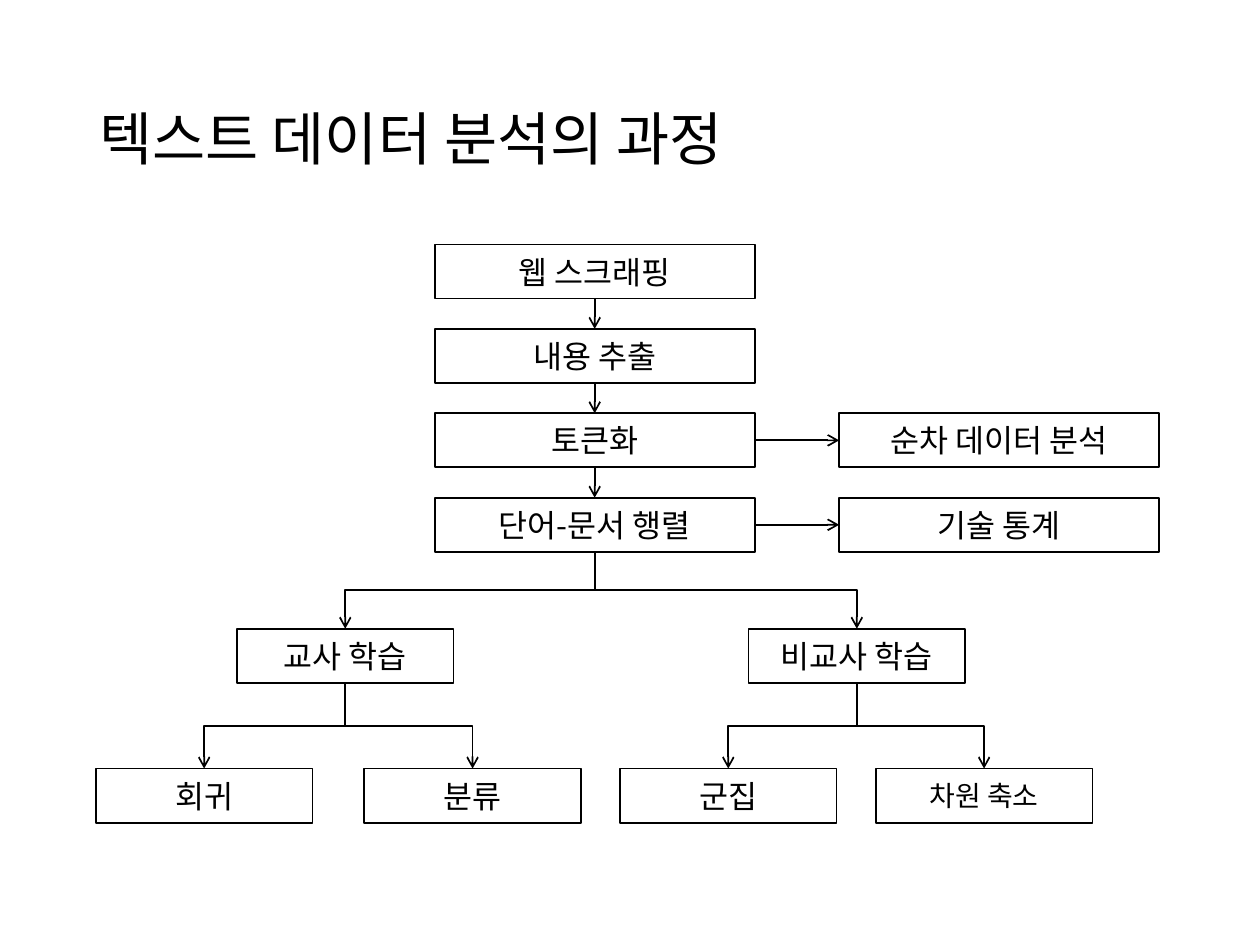
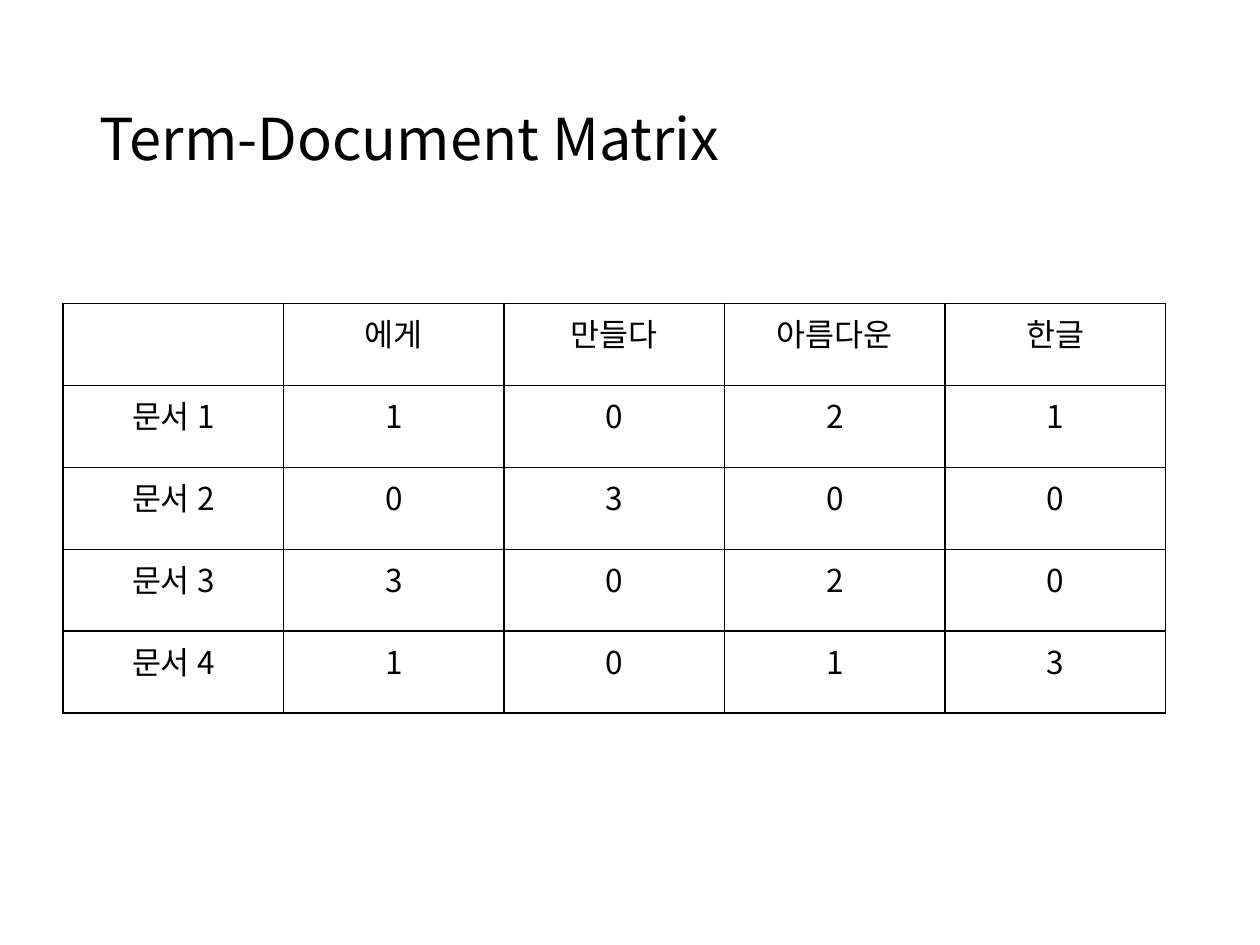
from dataclasses import dataclass
from itertools import pairwise

from lxml import etree
from pptx import Presentation
from pptx.dml.color import RGBColor
from pptx.enum.shapes import MSO_CONNECTOR, MSO_SHAPE
from pptx.enum.text import MSO_ANCHOR, MSO_AUTO_SIZE, PP_ALIGN
from pptx.oxml.ns import qn
from pptx.util import Inches, Pt

RECTANGLE = MSO_SHAPE.RECTANGLE
STRAIGHT = MSO_CONNECTOR.STRAIGHT
ELBOW = MSO_CONNECTOR.ELBOW
MIDDLE = MSO_ANCHOR.MIDDLE
NO_AUTOFIT = MSO_AUTO_SIZE.NONE
LEFT = PP_ALIGN.LEFT
CENTER = PP_ALIGN.CENTER
TITLE_ONLY_LAYOUT = 5


@dataclass(frozen=True)
class Theme:
    font: str = "Noto Sans CJK KR"
    ink: str = "000000"
    paper: str = "FFFFFF"
    title_size: float = 33
    body_size: float = 18
    small_size: float = 16
    line_width: float = 1


@dataclass(frozen=True)
class Box:
    text: str
    left: float
    top: float
    width: float
    size: float = Theme.body_size
    height: float = 0.43

    @property
    def center(self) -> float:
        return self.left + self.width / 2

    @property
    def middle(self) -> float:
        return self.top + self.height / 2

    @property
    def right(self) -> float:
        return self.left + self.width

    @property
    def bottom(self) -> float:
        return self.top + self.height


THEME = Theme()
INK = RGBColor.from_string(THEME.ink)
PAPER = RGBColor.from_string(THEME.paper)


def write_text(frame, text: str, *, size: float = THEME.body_size,
               align=CENTER, line_spacing: float | None = None) -> None:
    para = frame.paragraphs[0]
    para.alignment = align
    para.line_spacing = line_spacing
    span = para.add_run()
    span.text = text
    span.font.size = Pt(size)
    span.font.name = THEME.font
    span.font.color.rgb = INK
    properties = span.font._element
    etree.SubElement(properties, qn("a:ea"), typeface=THEME.font)


def add_titled_page(deck, text: str):
    page = deck.slides.add_slide(deck.slide_layouts[TITLE_ONLY_LAYOUT])
    title = page.shapes.title
    title.left, title.top = Inches(0.69), Inches(0.4)
    title.width, title.height = Inches(8.62), Inches(1.45)
    frame = title.text_frame
    frame.auto_size = NO_AUTOFIT
    frame.vertical_anchor = MIDDLE
    write_text(frame, text, size=THEME.title_size, align=LEFT, line_spacing=0.9)
    return page


def draw_box(page, box: Box) -> None:
    shape = page.shapes.add_shape(RECTANGLE, Inches(box.left), Inches(box.top),
                                  Inches(box.width), Inches(box.height))
    shape.shadow.inherit = False
    shape.fill.solid()
    shape.fill.fore_color.rgb = PAPER
    shape.line.color.rgb = INK
    shape.line.width = Pt(THEME.line_width)
    shape.text_frame.vertical_anchor = MIDDLE
    write_text(shape.text_frame, box.text, size=box.size)


def draw_arrow(page, kind, start: tuple[float, float], end: tuple[float, float]):
    arrow = page.shapes.add_connector(kind, *map(Inches, start + end))
    arrow.line.color.rgb = INK
    arrow.line.width = Pt(THEME.line_width)
    properties = arrow._element.spPr
    etree.SubElement(properties.find(qn("a:ln")), qn("a:tailEnd"), type="arrow")
    etree.SubElement(properties, qn("a:effectLst"))
    return arrow


def draw_branch(page, parent: Box, child: Box) -> None:
    center_x = (parent.center + child.center) / 2
    center_y = (parent.bottom + child.top) / 2
    half_drop = (child.top - parent.bottom) / 2
    half_span = abs(child.center - parent.center) / 2
    goes_right = child.center > parent.center
    reach = -half_drop if goes_right else half_drop
    arrow = draw_arrow(page, ELBOW, (center_x - reach, center_y - half_span),
                       (center_x + reach, center_y + half_span))
    degrees = 270 if goes_right else 90
    arrow._element.spPr.find(qn("a:xfrm")).set("rot", str(degrees * 60000))


def draw_process(page) -> None:
    step_top, step_pitch, step_width = 1.94, 0.67, 2.54
    method_width, task_top = 1.72, 6.1
    step_names = ["웹 스크래핑", "내용 추출", "토큰화", "단어-문서 행렬"]
    steps = [Box(name, 3.45, step_top + row * step_pitch, step_width)
             for row, name in enumerate(step_names)]
    outputs = [Box(name, 6.66, step.top, step_width)
               for name, step in zip(["순차 데이터 분석", "기술 통계"], steps[2:])]
    supervised = Box("교사 학습", 1.88, 4.99, method_width)
    unsupervised = Box("비교사 학습", 5.94, 4.99, method_width)
    tasks = {
        supervised: [Box("회귀", 0.76, task_top, method_width),
                     Box("분류", 2.89, task_top, method_width)],
        unsupervised: [Box("군집", 4.92, task_top, method_width),
                       Box("차원 축소", 6.95, task_top, method_width,
                           THEME.small_size)],
    }
    for box in [*steps, *outputs]:
        draw_box(page, box)
    for upper, lower in pairwise(steps):
        draw_arrow(page, STRAIGHT, (upper.center, upper.bottom),
                   (lower.center, lower.top))
    for step, output in zip(steps[2:], outputs):
        draw_arrow(page, STRAIGHT, (step.right, step.middle),
                   (output.left, output.middle))
    for method, children in tasks.items():
        draw_box(page, method)
        draw_branch(page, steps[-1], method)
        for task in children:
            draw_box(page, task)
            draw_branch(page, method, task)


def border_cell(cell) -> None:
    properties = cell._tc.get_or_add_tcPr()
    for position, side in enumerate(("a:lnL", "a:lnR", "a:lnT", "a:lnB")):
        line = etree.Element(qn(side), w=str(Pt(THEME.line_width)))
        fill = etree.SubElement(line, qn("a:solidFill"))
        etree.SubElement(fill, qn("a:srgbClr"), val=THEME.ink)
        properties.insert(position, line)


def draw_matrix(page) -> None:
    column_width, row_height = 1.75, 0.65
    terms = ["에게", "만들다", "아름다운", "한글"]
    counts = [[1, 0, 2, 1], [0, 3, 0, 0], [3, 0, 2, 0], [1, 0, 1, 3]]
    rows = [["", *terms]]
    rows += [[f"문서 {number}", *map(str, values)]
             for number, values in enumerate(counts, start=1)]
    table = page.shapes.add_table(
        len(rows), len(rows[0]), Inches(0.5), Inches(2.41),
        Inches(column_width * len(rows[0])), Inches(row_height * len(rows))).table
    table.first_row = False
    table.horz_banding = False
    for row_index, row in enumerate(rows):
        for column_index, text in enumerate(row):
            cell = table.cell(row_index, column_index)
            cell.fill.solid()
            cell.fill.fore_color.rgb = PAPER
            border_cell(cell)
            if text:
                write_text(cell.text_frame, text)


def main() -> None:
    deck = Presentation()
    deck.slide_width, deck.slide_height = Inches(10), Inches(7.5)
    draw_process(add_titled_page(deck, "텍스트 데이터 분석의 과정"))
    draw_matrix(add_titled_page(deck, "Term-Document Matrix"))
    deck.save("out.pptx")


main()
